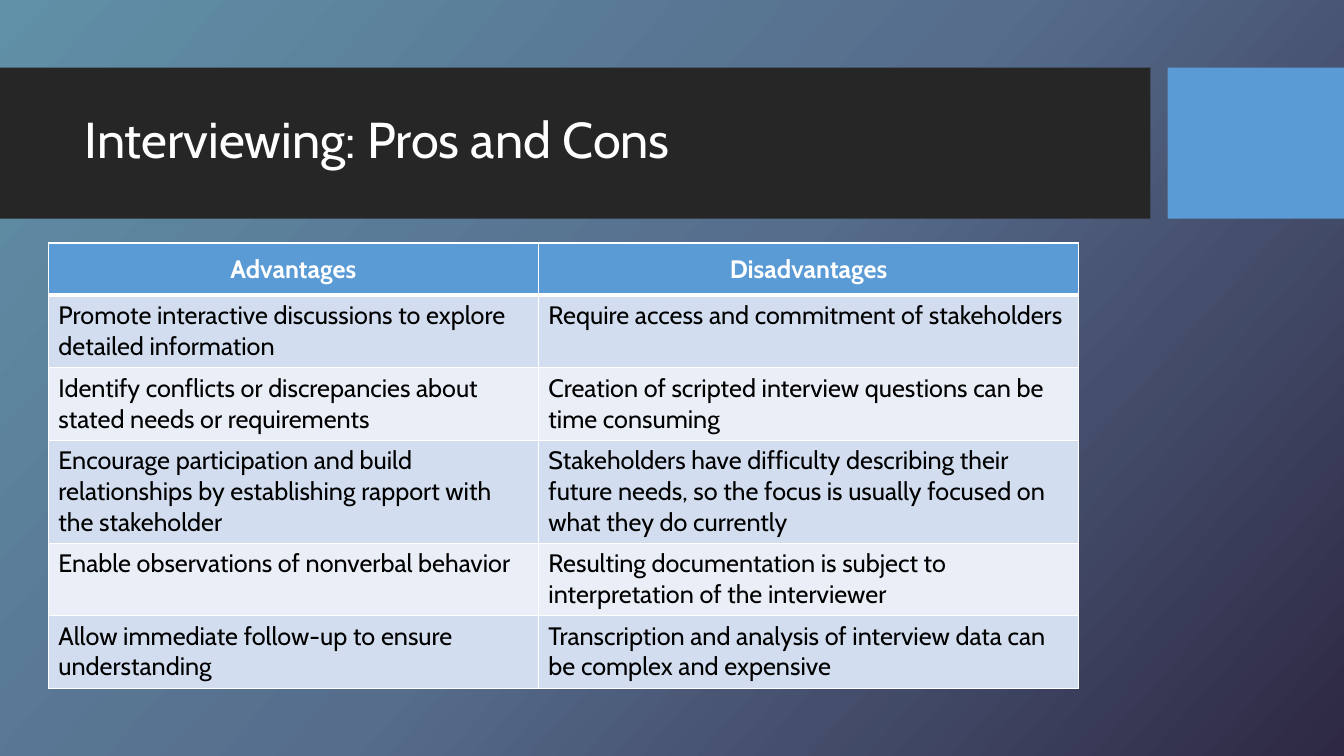
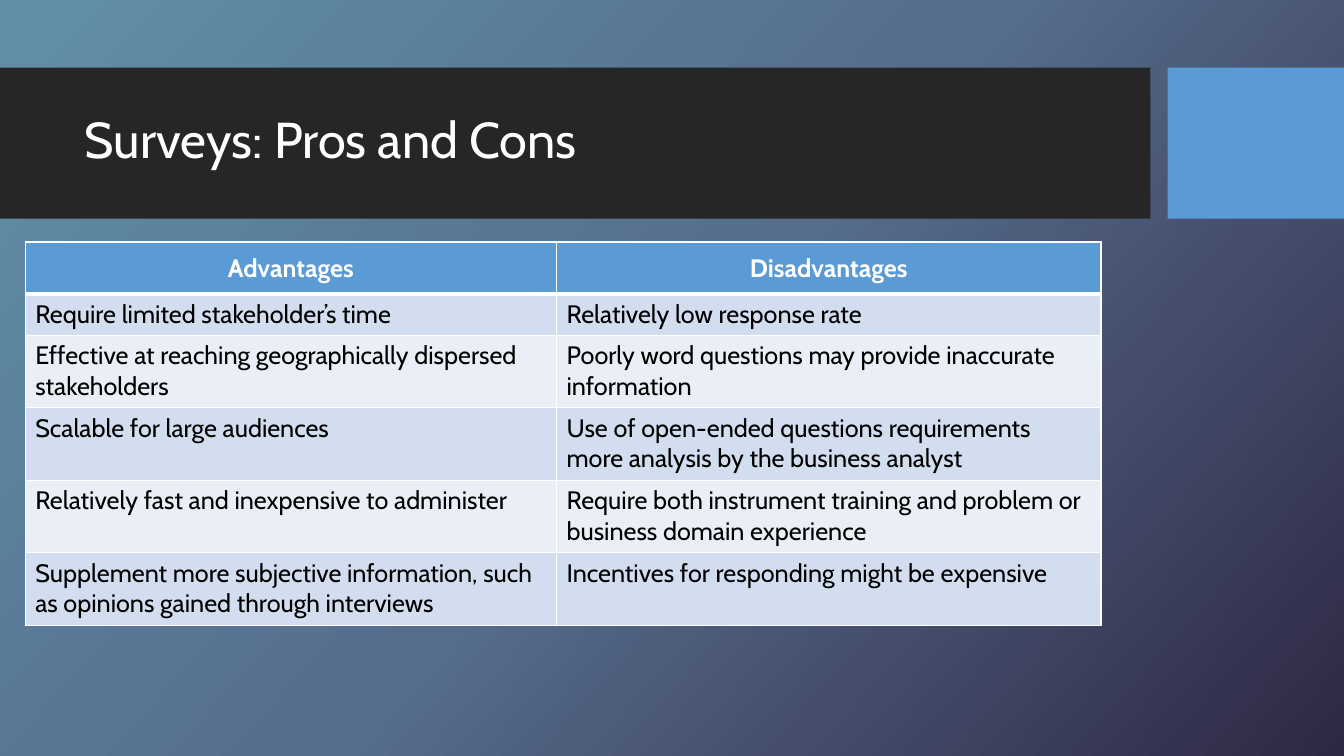
from copy import deepcopy

from pptx import Presentation
from pptx.dml.color import RGBColor
from pptx.enum.shapes import MSO_SHAPE
from pptx.enum.text import MSO_ANCHOR as ANCHOR, MSO_AUTO_SIZE as AUTO_SIZE, PP_ALIGN as ALIGN
from pptx.oxml import parse_xml
from pptx.oxml.ns import nsdecls, qn
from pptx.util import Inches, Pt

COLORS = {
    "sky": "6090A7", "slate": "566D8C", "night": "2E2844",
    "band": "262626", "accent": "5B9BD5",
    "row_dark": "D2DEEF", "row_light": "EAEFF7",
    "white": "FFFFFF", "black": "000000",
}
FONT = "Cabin"
TITLE_FONT = {"name": FONT, "size": Pt(36), "bold": False}
HEAD_FONT = {"name": FONT, "size": Pt(18), "bold": True}
BODY_FONT = {"name": FONT, "size": Pt(18), "bold": False}
BAND_TOP, BAND_HEIGHT = 0.67, 1.5
HEADINGS = ("Advantages", "Disadvantages")

INTERVIEWING = [
    ("Promote interactive discussions to explore detailed information",
     "Require access and commitment of stakeholders"),
    ("Identify conflicts or discrepancies about stated needs or requirements",
     "Creation of scripted interview questions can be time consuming"),
    ("Encourage participation and build relationships by establishing rapport "
     "with the stakeholder",
     "Stakeholders have difficulty describing their future needs, so the focus "
     "is usually focused on what they do currently"),
    ("Enable observations of nonverbal behavior",
     "Resulting documentation is subject to interpretation of the interviewer"),
    ("Allow immediate follow-up to ensure understanding",
     "Transcription and analysis of interview data can be complex and expensive"),
]
SURVEYS = [
    ("Require limited stakeholder’s time", "Relatively low response rate"),
    ("Effective at reaching geographically dispersed stakeholders",
     "Poorly word questions may provide inaccurate information"),
    ("Scalable for large audiences",
     "Use of open-ended questions requirements more analysis by the business analyst"),
    ("Relatively fast and inexpensive to administer",
     "Require both instrument training and problem or business domain experience"),
    ("Supplement more subjective information, such as opinions gained through interviews",
     "Incentives for responding might be expensive"),
]


def rgb(name):
    return RGBColor.from_string(COLORS[name])


def set_font(font, values, color):
    for key, value in values.items():
        setattr(font, key, value)
    font.color.rgb = rgb(color)


def set_background(layout):
    fill = layout.background.fill
    fill.gradient()
    fill.gradient_angle = 360 - 42  # counter-clockwise
    stops = layout._element.find(".//" + qn("a:gsLst"))
    stops.insert(1, deepcopy(stops[0]))
    names = ("sky", "slate", "night")
    for i, (stop, name) in enumerate(zip(fill.gradient_stops, names)):
        stop.position = i / 2
        stop.color.rgb = rgb(name)


def add_layout_band(layout, slide, left, width, color):
    """Draw a band on the slide, then move it behind the layout's placeholders."""
    sp = slide.shapes.add_shape(MSO_SHAPE.RECTANGLE, Inches(left), Inches(BAND_TOP),
                                Inches(width), Inches(BAND_HEIGHT))
    sp.shadow.inherit = False
    sp.fill.solid()
    sp.fill.fore_color.rgb = rgb(color)
    sp.line.fill.background()
    layout.shapes._spTree.insert(2, sp._element)


def set_title(slide, text):
    title = slide.shapes.title
    title.left, title.top = Inches(0.74), Inches(0.82)
    title.width, title.height = Inches(10.51), Inches(1.18)
    tf = title.text_frame
    tf.auto_size = AUTO_SIZE.NONE
    tf.vertical_anchor = ANCHOR.MIDDLE
    p = tf.paragraphs[0]
    p.alignment, p.line_spacing = ALIGN.LEFT, 0.9
    r = p.add_run()
    r.text = text
    set_font(r.font, TITLE_FONT, "white")


def set_borders(cell, top=1, bottom=1):
    """White cell borders, widths in points; call before filling the cell."""
    tc_pr = cell._tc.get_or_add_tcPr()
    for side, width in {"L": 1, "R": 1, "T": top, "B": bottom}.items():
        tc_pr.append(parse_xml(
            f'<a:ln{side} {nsdecls("a")} w="{Pt(width)}"><a:solidFill>'
            f'<a:srgbClr val="{COLORS["white"]}"/></a:solidFill></a:ln{side}>'))


def format_cell(cell, text, row):
    is_head = row == 0
    set_borders(cell, top=3 if row == 1 else 1, bottom=3 if is_head else 1)
    cell.fill.solid()
    band = "row_dark" if row % 2 else "row_light"
    cell.fill.fore_color.rgb = rgb("accent" if is_head else band)
    cell.vertical_anchor = ANCHOR.MIDDLE if is_head else ANCHOR.TOP
    p = cell.text_frame.paragraphs[0]
    p.alignment = ALIGN.CENTER if is_head else ALIGN.LEFT
    r = p.add_run()
    r.text = text
    set_font(r.font, HEAD_FONT if is_head else BODY_FONT, "white" if is_head else "black")


def add_pros_cons_table(slide, left, top, widths, heights, points):
    rows = [HEADINGS, *points]
    table = slide.shapes.add_table(
        len(rows), len(widths), Inches(left), Inches(top),
        Inches(sum(widths)), Inches(sum(heights))).table
    for column, width in zip(table.columns, widths):
        column.width = Inches(width)
    for i, (row, height, texts) in enumerate(zip(table.rows, heights, rows)):
        row.height = Inches(height)
        for cell, text in zip(row.cells, texts):
            format_cell(cell, text, i)


def main():
    prs = Presentation()
    prs.slide_width, prs.slide_height = Inches(13.33), Inches(7.5)
    layout = prs.slide_layouts[5]
    set_background(layout)

    interviewing, surveys = (prs.slides.add_slide(layout) for _ in range(2))
    add_layout_band(layout, interviewing, 0, 11.41, "band")
    add_layout_band(layout, interviewing, 11.58, 1.75, "accent")

    set_title(interviewing, "Interviewing: Pros and Cons")
    add_pros_cons_table(interviewing, 0.48, 2.41, (4.86, 5.36),
                        (0.52, 0.72, 0.72, 1.02, 0.72, 0.72), INTERVIEWING)

    set_title(surveys, "Surveys: Pros and Cons")
    add_pros_cons_table(surveys, 0.25, 2.4, (5.27, 5.4),
                        (0.52, 0.4, 0.72, 0.72, 0.72, 0.72), SURVEYS)
    prs.save("out.pptx")


if __name__ == "__main__":
    main()
